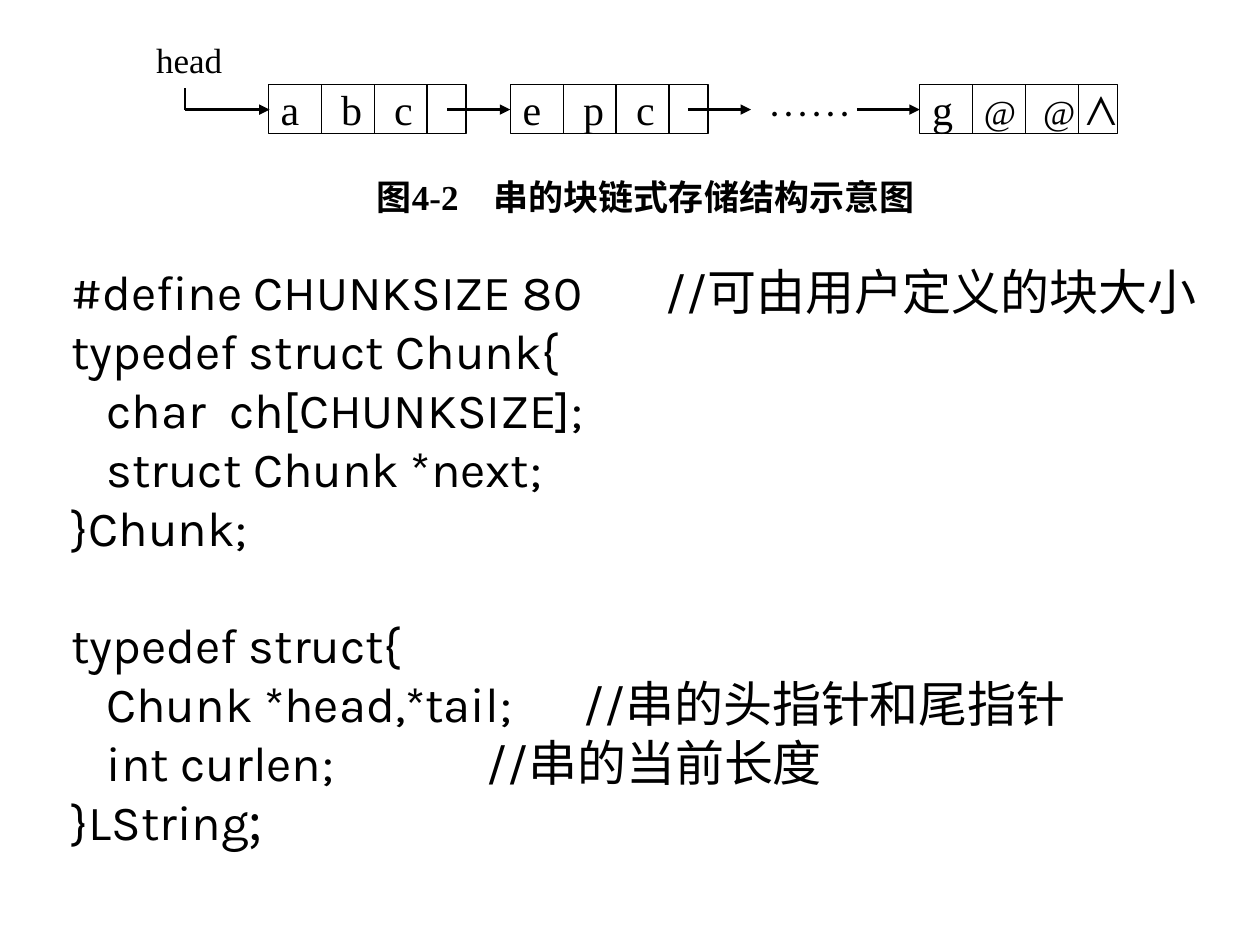
from dataclasses import dataclass

from lxml import etree
from pptx import Presentation
from pptx import util as u
from pptx.dml.color import RGBColor
from pptx.enum import shapes, text
from pptx.oxml.ns import qn


@dataclass(frozen=True)
class Theme:
    ink: RGBColor = RGBColor(0, 0, 0)
    paper: RGBColor = RGBColor(255, 255, 255)
    code_font: str = "Karla"
    serif: str = "Times New Roman"
    cjk: str = "Noto Sans CJK SC"
    code_size: int = 28
    cell_size: int = 24
    label_size: int = 20
    thin: float = 0.75
    thick: float = 1.5


class Board:
    def __init__(self, slide, theme):
        self.slide = slide
        self.theme = theme
        fill = slide.background.fill
        fill.solid()
        fill.fore_color.rgb = theme.paper

    def add_runs(self, paragraph, runs, tabs=()):
        """Fill a paragraph with (text, font, size, bold) runs and left tab stops."""
        if tabs:
            tab_list = etree.SubElement(paragraph._p.get_or_add_pPr(), qn("a:tabLst"))
            for stop in tabs:
                etree.SubElement(tab_list, qn("a:tab"), pos=str(u.Inches(stop)), algn="l")
        for words, font, size, bold in runs:
            run = paragraph.add_run()
            run.text = words
            formats = {"name": font, "size": u.Pt(size), "bold": bold}
            for name, value in formats.items():
                setattr(run.font, name, value)
            run.font.color.rgb = self.theme.ink
            etree.SubElement(run._r.get_or_add_rPr(), qn("a:ea"), typeface=self.theme.cjk)

    def set_frame(self, shape, wrap, anchor):
        frame = shape.text_frame
        formats = {"word_wrap": wrap, "vertical_anchor": anchor,
                   "auto_size": text.MSO_AUTO_SIZE.NONE}
        for name, value in formats.items():
            setattr(frame, name, value)
        return frame

    def label(self, box, runs, align=text.PP_ALIGN.LEFT, wrap=False):
        shape = self.slide.shapes.add_textbox(*map(u.Inches, box))
        frame = self.set_frame(shape, wrap, text.MSO_ANCHOR.MIDDLE)
        paragraph = frame.paragraphs[0]
        paragraph.alignment = align
        self.add_runs(paragraph, runs)

    def code(self, box, lines):
        """Add (runs, tab stops, space before) code lines, one paragraph each."""
        shape = self.slide.shapes.add_textbox(*map(u.Inches, box))
        frame = self.set_frame(shape, True, text.MSO_ANCHOR.TOP)
        for index, (runs, tabs, gap) in enumerate(lines):
            paragraph = frame.add_paragraph() if index else frame.paragraphs[0]
            if gap:
                paragraph.space_before = u.Pt(gap)
            self.add_runs(paragraph, runs, tabs)

    def line(self, start, end, width, arrow=False):
        connector = self.slide.shapes.add_connector(
            shapes.MSO_CONNECTOR.STRAIGHT, *map(u.Inches, (*start, *end)))
        connector.line.color.rgb = self.theme.ink
        connector.line.width = u.Pt(width)
        if arrow:
            line_element = connector._element.spPr.find(qn("a:ln"))
            etree.SubElement(line_element, qn("a:tailEnd"), type="triangle")
        etree.SubElement(connector._element.spPr, qn("a:effectLst"))

    def node(self, left, top, width, height, runs, tabs, cell):
        """Draw a chunk: a box with three dividers and its characters."""
        shape = self.slide.shapes.add_shape(
            shapes.MSO_SHAPE.RECTANGLE, *map(u.Inches, (left, top, width, height)))
        shape.shadow.inherit = False
        shape.fill.background()
        shape.line.color.rgb = self.theme.ink
        shape.line.width = u.Pt(self.theme.thin)
        frame = self.set_frame(shape, False, text.MSO_ANCHOR.MIDDLE)
        frame.paragraphs[0].alignment = text.PP_ALIGN.LEFT
        self.add_runs(frame.paragraphs[0], runs, tabs)
        for index in range(1, 4):
            x = left + index * cell
            self.line((x, top), (x, top + height), self.theme.thin)


def draw_chain(board):
    theme = board.theme
    top, height, middle = 0.67, 0.39, 0.87
    width, cell, arrow_length = 1.57, 0.42, 0.5

    def serif(words, size=theme.cell_size):
        return words, theme.serif, size, False

    nodes = [
        (2.13, [serif("a\tb\tc")], (0.48, 0.9)),
        (4.05, [serif("e\tp\tc")], (0.48, 0.9)),
        (7.3, [serif("g\t"), serif("@\t@", theme.label_size), serif("\t⋀")],
         (0.41, 0.88, 1.22)),
    ]
    for left, runs, tabs in nodes:
        board.node(left, top, width, height, runs, tabs, cell)
    for x in (3.55, 5.46, 6.8):
        board.line((x, middle), (x + arrow_length, middle), theme.thick, arrow=True)
    board.label((6.05, top, 0.75, height), [serif("⋯⋯")], text.PP_ALIGN.CENTER)

    board.label((1.14, 0.28, 0.71, height), [serif("head", theme.label_size)])
    board.line((1.47, 0.7), (1.47, middle), theme.thick)
    board.line((1.47, middle), (2.14, middle), theme.thick, arrow=True)

    caption = [("图", theme.cjk), ("4-2　", theme.serif),
               ("串的块链式存储结构示意图", theme.cjk)]
    board.label((2.79, 1.35, 4.67, 0.42),
                [(words, font, theme.label_size, True) for words, font in caption],
                text.PP_ALIGN.CENTER, wrap=True)


def draw_code(board):
    theme = board.theme

    def code_line(words, tabs=(), gap=0, ending=""):
        runs = [(words, theme.code_font, theme.code_size, False)]
        if ending:
            runs.append((ending, theme.cjk, theme.code_size, False))
        return runs, tabs, gap

    board.code((0.47, 2.03, 9.37, 5.12), [
        code_line("#define CHUNKSIZE 80\t//可由用户定义的块大小", (4.71,)),
        code_line("typedef struct Chunk{"),
        code_line("   char  ch[CHUNKSIZE];"),
        code_line("   struct Chunk *next;"),
        code_line("}Chunk;"),
        code_line("typedef struct{", gap=33.6),
        code_line("   Chunk *head,*tail;\t//串的头指针和尾指针", (4.06,)),
        code_line("   int curlen;\t//串的当前长度", (3.29,)),
        code_line("}LString", ending=";"),
    ])


def main():
    presentation = Presentation()
    presentation.slide_width = u.Inches(10)
    presentation.slide_height = u.Inches(7.5)
    slide = presentation.slides.add_slide(presentation.slide_layouts[6])
    board = Board(slide, Theme())
    draw_code(board)
    draw_chain(board)
    presentation.save("out.pptx")


if __name__ == "__main__":
    main()
